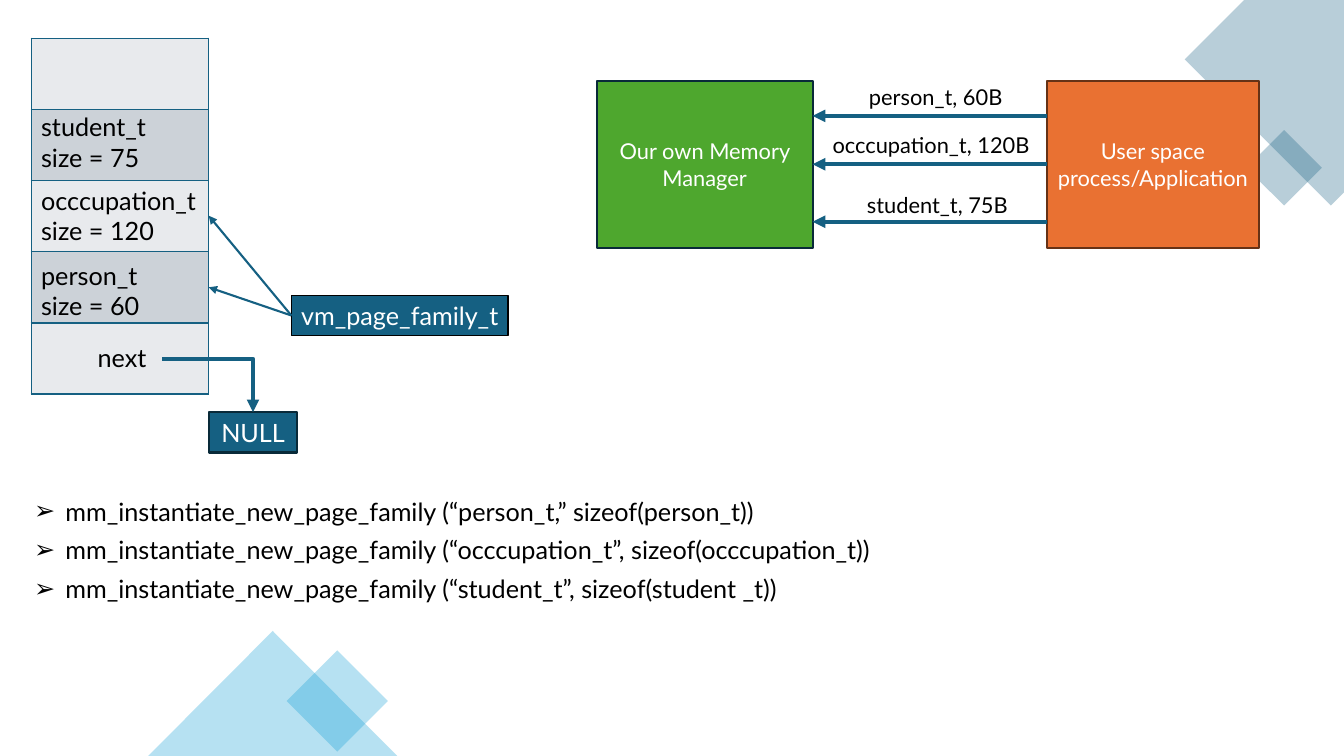
"""Build the slide on page families of a memory manager."""
from lxml import etree
from pptx import Presentation
from pptx.dml.color import RGBColor
from pptx.enum.shapes import MSO_CONNECTOR, MSO_SHAPE
from pptx.enum.text import PP_ALIGN
from pptx.oxml import parse_xml
from pptx.oxml.ns import nsdecls, qn
from pptx.util import Inches, Pt

RECT, PEAK = MSO_SHAPE.RECTANGLE, MSO_SHAPE.ISOSCELES_TRIANGLE
LINE, BENT = MSO_CONNECTOR.STRAIGHT, MSO_CONNECTOR.ELBOW
LEFT, CENTER = PP_ALIGN.LEFT, PP_ALIGN.CENTER
BLUE = RGBColor(0x15, 0x60, 0x82)
SKY = RGBColor(0x0F, 0x9E, 0xD5)
NAVY = RGBColor(0x09, 0x2A, 0x39)
GREEN = RGBColor(0x4E, 0xA7, 0x2E)
ORANGE = RGBColor(0xE9, 0x71, 0x32)
BROWN = RGBColor(0x66, 0x32, 0x16)
PALE = RGBColor(0xE8, 0xEA, 0xED)
GRAY = RGBColor(0xCC, 0xD2, 0xD8)
BLACK = RGBColor(0, 0, 0)
WHITE = RGBColor(255, 255, 255)

deck = Presentation()
deck.slide_width, deck.slide_height = Inches(13.33), Inches(7.5)
slide = deck.slides.add_slide(deck.slide_layouts[6])
shapes = slide.shapes


def write(shape, lines, size, color, align=LEFT, after=0, bullet=None):
    frame = shape.text_frame
    frame.word_wrap = True
    for i, line in enumerate(lines):
        para = frame.paragraphs[0] if i == 0 else frame.add_paragraph()
        para.alignment = align
        para.space_after = Pt(after)
        if bullet:
            props = para._p.get_or_add_pPr()
            props.set("marL", str(Inches(0.31)))
            props.set("indent", str(-Inches(0.31)))
            etree.SubElement(props, qn("a:buFont")).set("typeface", "Wingdings")
            props[-1].set("typeface", "Arial")
            etree.SubElement(props, qn("a:buChar")).set("char", bullet)
        run = para.add_run()
        run.text = line
        run.font.name, run.font.size = "Lato", Pt(size)
        run.font.color.rgb = color


def link(kind, start, end, width):
    arrow = shapes.add_connector(kind, *[Inches(n) for n in start + end])
    arrow.line.color.rgb, arrow.line.width = BLUE, Pt(width)
    etree.SubElement(arrow.line._get_or_add_ln(), qn("a:tailEnd")).set("type", "triangle")
    etree.SubElement(arrow._element.spPr, qn("a:effectLst"))
    return arrow


corner = [(Inches(x), Inches(y)) for x, y in
          [(13.33, 0), (12.34, 0), (11.75, 0.59), (13.2, 2.04), (13.33, 1.91)]]
outline = shapes.build_freeform(*corner[0])
outline.add_line_segments(corner[1:], close=True)
decor = [(outline.convert_to_shape(), BLUE, 0)]
for kind, box, color, turn in [
    (RECT, (12.47, 1.4, 0.53, 0.53), BLUE, 45),
    (RECT, (2.99, 6.6, 0.71, 0.71), SKY, 45),
    (PEAK, (1.47, 6.26, 2.47, 1.24), SKY, 0),
]:
    decor.append((shapes.add_shape(kind, *[Inches(n) for n in box]), color, turn))
for shape, color, turn in decor:
    shape.shadow.inherit = False
    shape.rotation = turn
    shape.line.fill.background()
    shape.fill.solid()
    shape.fill.fore_color.rgb = color
    tint = shape._element.spPr.find(qn("a:solidFill"))[0]
    etree.SubElement(tint, qn("a:alpha")).set("val", "30000")

grid = shapes.add_table(5, 1, Inches(0.31), Inches(0.38), Inches(1.76), Inches(3.53)).table
for i in range(5):
    cell = grid.cell(i, 0)
    props = cell._tc.get_or_add_tcPr()
    for side in ("lnL", "lnR", "lnT", "lnB"):
        props.append(parse_xml(
            f'<a:{side} {nsdecls("a")} w="{Pt(1)}"><a:solidFill>'
            f'<a:srgbClr val="{BLUE}"/></a:solidFill></a:{side}>'))
    cell.fill.solid()
    cell.fill.fore_color.rgb = GRAY if i % 2 else PALE

boxes = []
for label, box, fill, edge, width, size, after in [
    ("Our own Memory Manager", (5.92, 0.8, 2.14, 1.66), GREEN, NAVY, 1.5, 15.6, 5.4),
    ("User space process/Application", (10.38, 0.8, 2.11, 1.66), ORANGE, BROWN, 1.5, 15.6, 5.4),
    ("NULL", (2.07, 4.09, 0.88, 0.4), BLUE, NAVY, 1.5, 18, 0),
    ("vm_page_family_t", (2.89, 2.93, 2.15, 0.4), BLUE, BLACK, 1, 18, 0),
]:
    shape = shapes.add_shape(RECT, *[Inches(n) for n in box])
    shape.shadow.inherit = False
    shape.fill.solid()
    shape.fill.fore_color.rgb = fill
    shape.line.color.rgb, shape.line.width = edge, Pt(width)
    write(shape, [label], size, WHITE, CENTER, after)
    boxes.append(shape)
manager, user, null, family = boxes
family.text_frame.word_wrap = False

for y in (1.15, 1.63, 2.2):
    arrow = link(LINE, (10.38, y), (8.06, y), 3)
    if y == 1.63:
        arrow.begin_connect(user, 1)
        arrow.end_connect(manager, 3)
for y in (2.14, 2.85):
    link(LINE, (2.89, 3.13), (2.07, y), 1.5).begin_connect(family, 1)
bend = link(BENT, (1.61, 3.56), (2.51, 4.09), 3)
bend._element.spPr.find(qn("a:prstGeom")).set("prst", "bentConnector2")
bend.end_connect(null, 0)

calls = [
    "mm_instantiate_new_page_family (“person_t,” sizeof(person_t))",
    "mm_instantiate_new_page_family (“occcupation_t”, sizeof(occcupation_t))",
    "mm_instantiate_new_page_family (“student_t”, sizeof(student _t))",
]
for lines, box, size, after, bullet in [
    (["person_t, 60B"], (8.52, 0.78, 1.95, 0.36), 15.6, 5.4, None),
    (["occcupation_t, 120B"], (8.16, 1.26, 2.66, 0.36), 15.6, 5.4, None),
    (["student_t, 75B"], (8.5, 1.85, 1.95, 0.36), 15.6, 5.4, None),
    (["student_t", "size = 75"], (0.31, 1.06, 1.76, 0.71), 18, 0, None),
    (["occcupation_t", "size = 120"], (0.31, 1.79, 1.76, 0.71), 18, 0, None),
    (["person_t", "size = 60"], (0.31, 2.53, 1.76, 0.71), 18, 0, None),
    (["next"], (0.87, 3.35, 0.74, 0.4), 18, 0, None),
    (calls, (0.24, 4.87, 11.72, 1.18), 18, 6, "➢"),
]:
    shape = shapes.add_textbox(*[Inches(n) for n in box])
    write(shape, lines, size, BLACK, LEFT, after, bullet)

deck.save("out.pptx")
